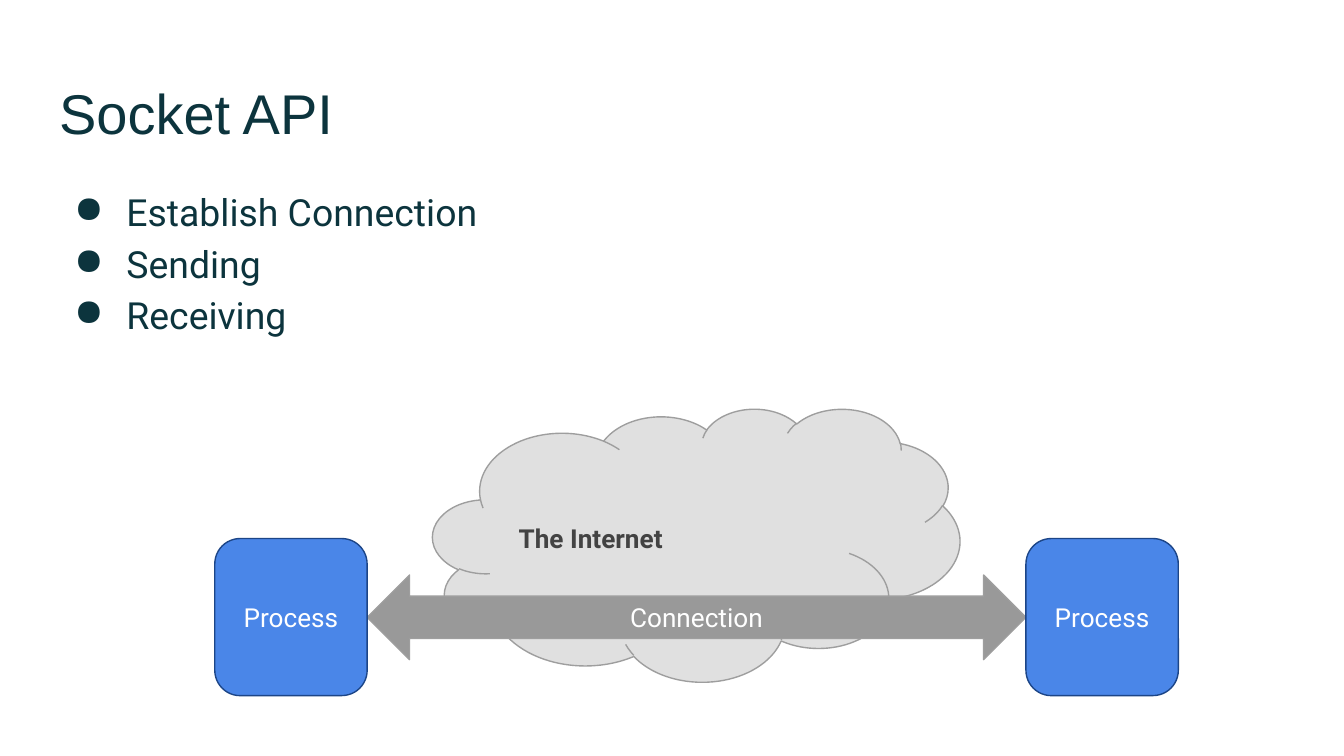
import pptx
import pptx.dml.color
import pptx.enum.shapes
import pptx.enum.text
import pptx.oxml
import pptx.oxml.ns
import pptx.util

Cm = pptx.util.Cm
Pt = pptx.util.Pt
RGBColor = pptx.dml.color.RGBColor
Kind = pptx.enum.shapes.MSO_SHAPE
Align = pptx.enum.text.PP_ALIGN
Anchor = pptx.enum.text.MSO_ANCHOR

TEAL = RGBColor(0x0C, 0x34, 0x3D)
CLOUD = RGBColor(0xE0, 0xE0, 0xE0)
EDGE = RGBColor(0x9E, 0x9E, 0x9E)
GRAY = RGBColor(0x99, 0x99, 0x99)
DARK = RGBColor(0x43, 0x43, 0x43)
BLUE = RGBColor(0x4A, 0x86, 0xE8)
NAVY = RGBColor(0x1C, 0x45, 0x87)
WHITE = RGBColor(0xFF, 0xFF, 0xFF)


def write(frame, text, size=14, font="Roboto", color=WHITE, bold=False,
          align=Align.LEFT, anchor=Anchor.MIDDLE, space=None):
    frame.word_wrap = True
    frame.vertical_anchor = anchor
    frame.margin_left = frame.margin_right = Cm(0.25)
    frame.margin_top = frame.margin_bottom = Cm(0.25)
    frame.text = text
    for para in frame.paragraphs:
        para.alignment = align
        para.line_spacing = space
        para.font.size = Pt(size)
        para.font.name = font
        para.font.bold = bold
        para.font.color.rgb = color


def add_text(slide, box, text, **form):
    frame = slide.shapes.add_textbox(*map(Cm, box)).text_frame
    write(frame, text, anchor=Anchor.TOP, color=TEAL, **form)
    return frame


def add_list(slide, box, items):
    frame = add_text(slide, box, "\n".join(items), size=20, space=1.15)
    for para in frame.paragraphs:
        props = para._p.get_or_add_pPr()
        props.set("marL", str(Cm(1.27)))
        props.set("indent", str(Cm(-0.99)))
        mark = pptx.oxml.parse_xml(
            f'<a:buChar {pptx.oxml.ns.nsdecls("a")} char="●"/>')
        props.append(mark)


def add_shape(slide, kind, box, text, fill, line, **form):
    shape = slide.shapes.add_shape(kind, *map(Cm, box))
    shape.shadow.inherit = False
    shape.fill.solid()
    shape.fill.fore_color.rgb = fill
    shape.line.color.rgb = line
    shape.line.width = Pt(0.75)
    write(shape.text_frame, text, **form)


def main():
    deck = pptx.Presentation()
    deck.slide_width, deck.slide_height = Cm(25.4), Cm(14.29)
    slide = deck.slides.add_slide(deck.slide_layouts[6])

    add_text(slide, (0.87, 1.24, 23.67, 1.6), "Socket API",
             size=30, font="Arial")
    add_list(slide, (0.87, 3.2, 23.67, 9.5),
             ["Establish Connection", "Sending", "Receiving"])

    add_shape(slide, Kind.CLOUD, (8.18, 7.72, 9.96, 5.16),
              "The Internet", CLOUD, EDGE, color=DARK, bold=True)

    left, width, span = 4.06, 2.88, 12.45
    start = left + width
    add_shape(slide, Kind.LEFT_RIGHT_ARROW, (start, 10.87, span, 1.6),
              "Connection", GRAY, EDGE, align=Align.CENTER)
    for side in (left, start + span):
        add_shape(slide, Kind.ROUNDED_RECTANGLE, (side, 10.18, width, 2.97),
                  "Process", BLUE, NAVY, align=Align.CENTER)

    deck.save("out.pptx")


if __name__ == "__main__":
    main()
